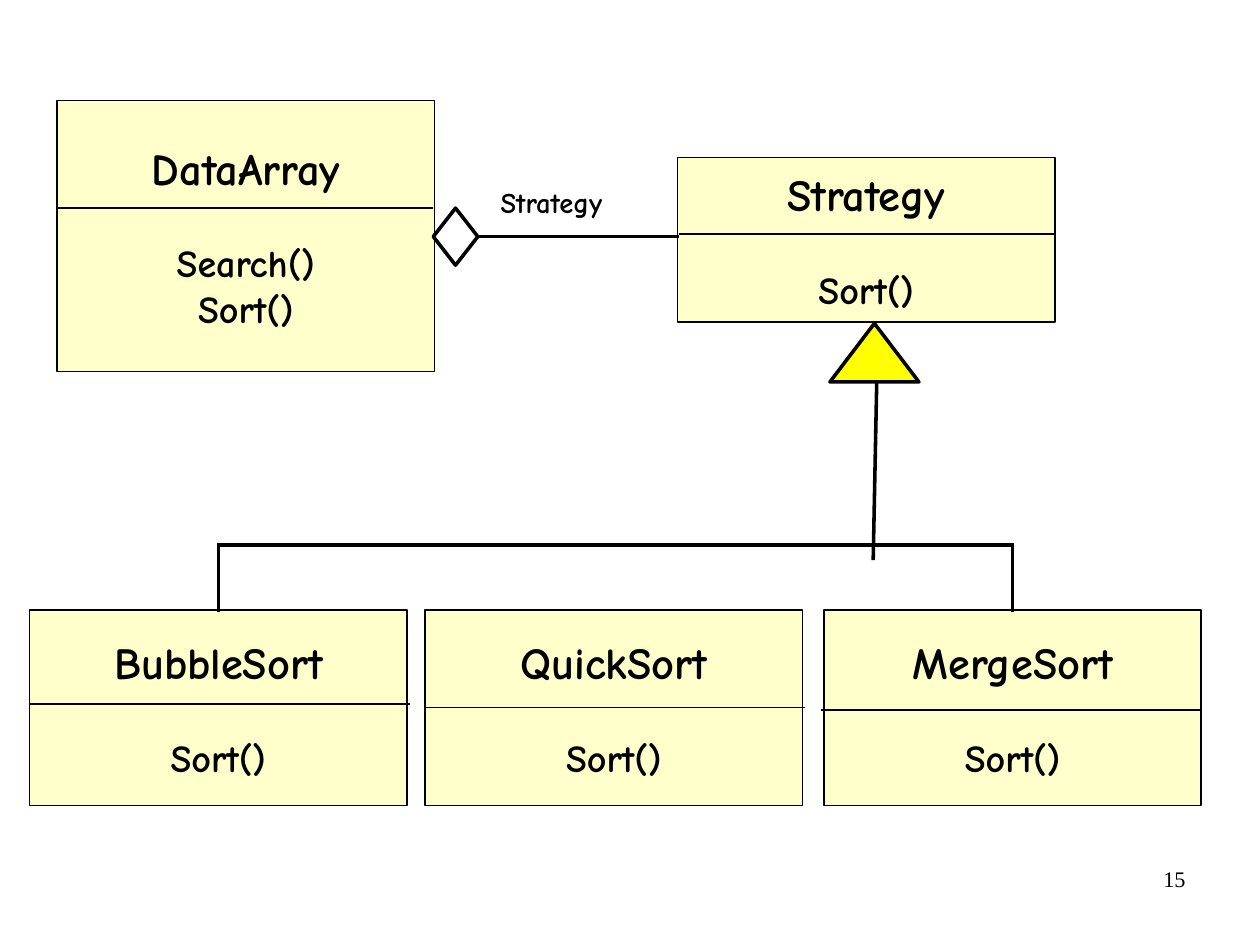
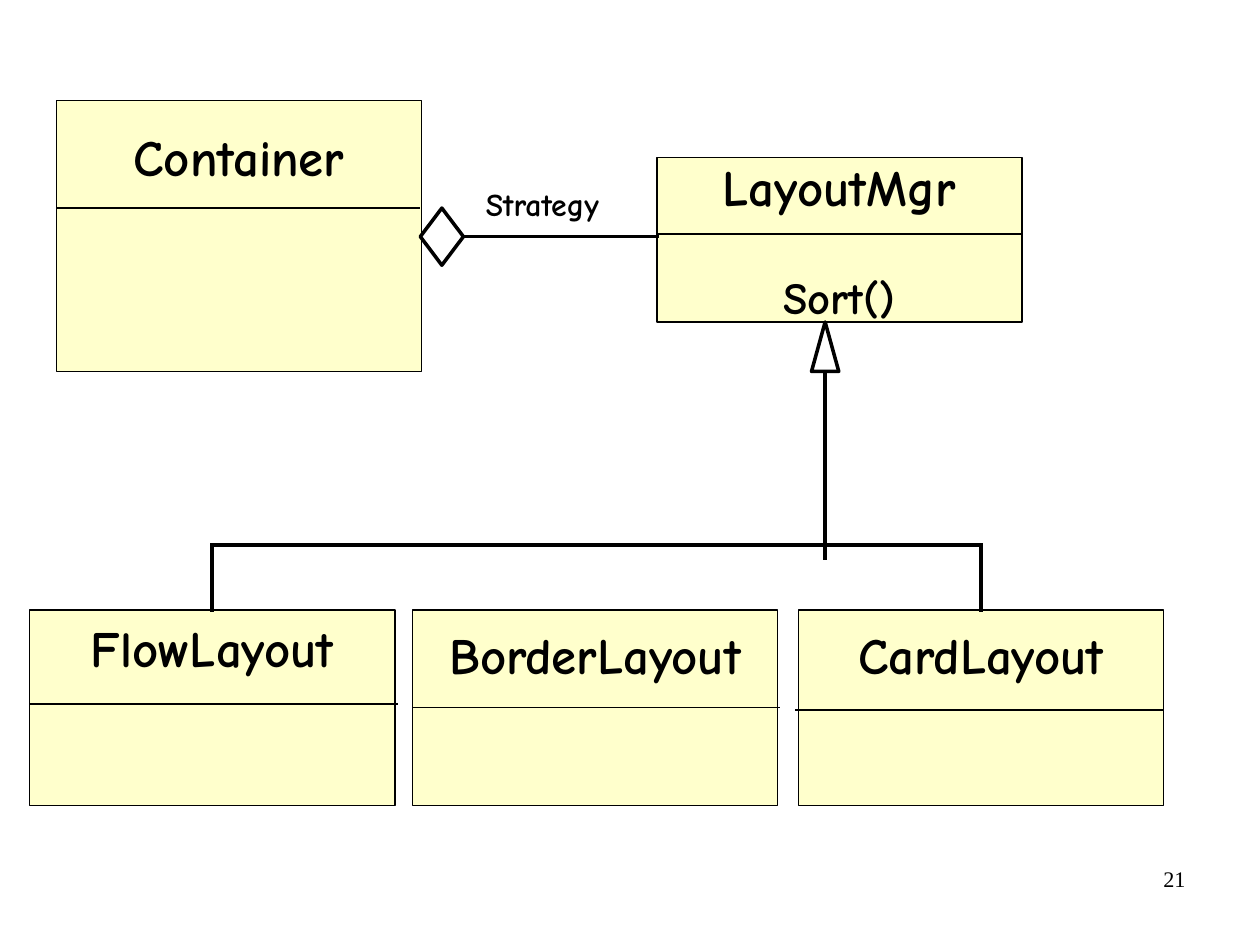
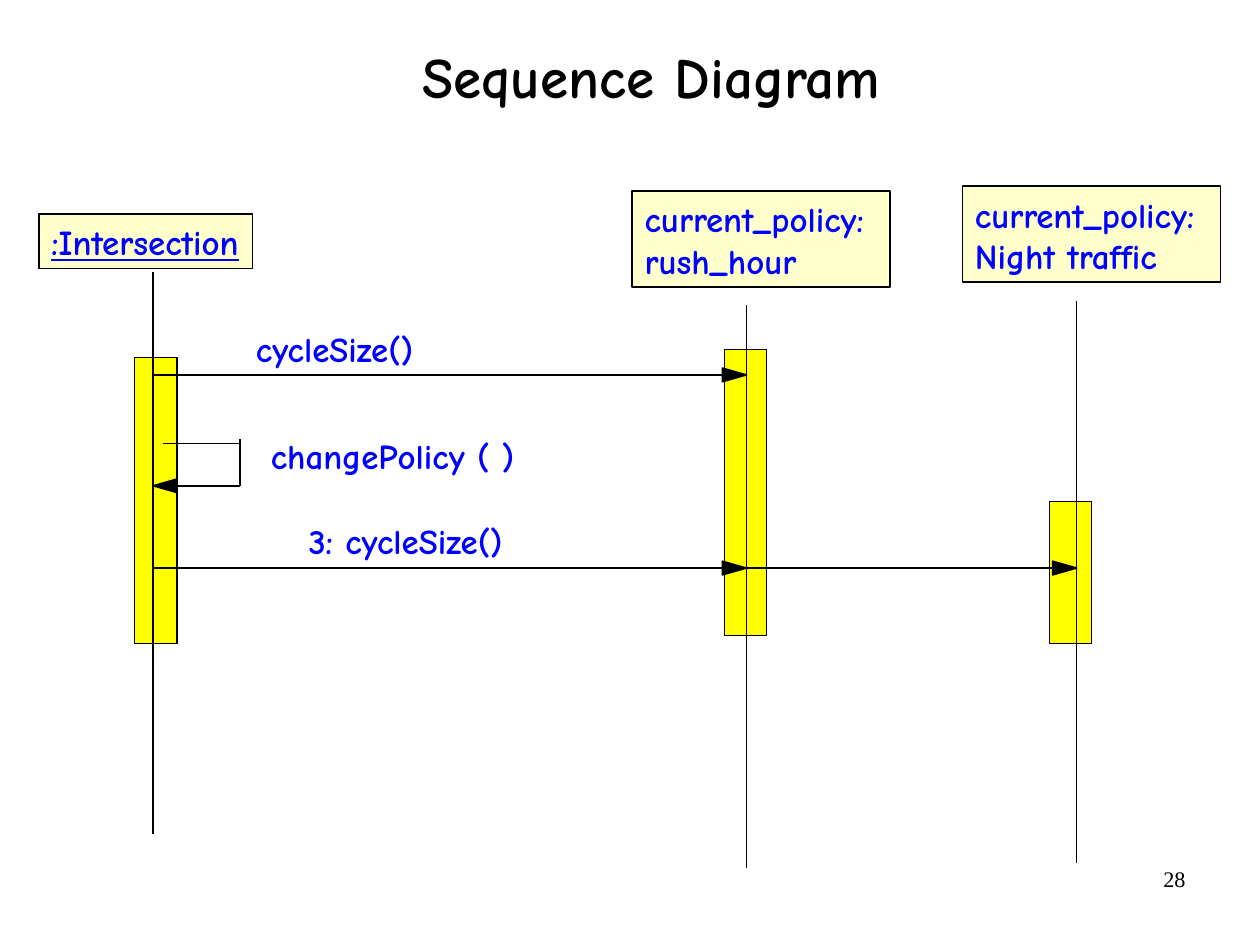
from dataclasses import dataclass

from lxml import etree
from pptx import Presentation, util as u
from pptx.dml.color import RGBColor
from pptx.enum import shapes, text
from pptx.oxml.ns import qn

BLACK = RGBColor(0x00, 0x00, 0x00)
WHITE = RGBColor(0xFF, 0xFF, 0xFF)
CREAM = RGBColor(0xFF, 0xFF, 0xCC)
YELLOW = RGBColor(0xFF, 0xFF, 0x00)
BLUE = RGBColor(0x00, 0x00, 0xFF)

SLIDE_WIDTH, SLIDE_HEIGHT = u.Cm(28), u.Cm(21)
COMIC, SERIF = "Comic Neue", "Times New Roman"
LINE_HEIGHT = 1.2
THIN, RULE, HEAVY = 0.75, 1, 2.25
TITLE_ONLY, BLANK = 5, 6
RECTANGLE = shapes.MSO_SHAPE.RECTANGLE
LEFT, CENTER, RIGHT = text.PP_ALIGN.LEFT, text.PP_ALIGN.CENTER, text.PP_ALIGN.RIGHT
TOP, MIDDLE = text.MSO_ANCHOR.TOP, text.MSO_ANCHOR.MIDDLE


@dataclass
class Grid:
    left: float
    top: float
    width: float
    height: float
    columns: int
    rows: int

    def point(self, column, row):
        return (u.Inches(self.left + column * self.width / self.columns),
                u.Inches(self.top + row * self.height / self.rows))

    def box(self, column, row, columns, rows):
        left, top = self.point(column, row)
        right, bottom = self.point(column + columns, row + rows)
        return left, top, right - left, bottom - top


PAGE = Grid(0, 0, SLIDE_WIDTH.inches, SLIDE_HEIGHT.inches, 100, 100)


def set_all(target, values):
    for name, value in values.items():
        setattr(target, name, value)


def style_font(font, size, color=BLACK, name=COMIC, bold=True, underline=None):
    set_all(font, dict(size=u.Pt(size), name=name, bold=bold, underline=underline))
    font.color.rgb = color


def style_frame(frame, anchor=TOP, wrap=True, side=0.11, edge=0.05):
    set_all(frame, dict(word_wrap=wrap, vertical_anchor=anchor,
                        margin_left=u.Inches(side), margin_right=u.Inches(side),
                        margin_top=u.Inches(edge), margin_bottom=u.Inches(edge)))


def write_lines(frame, lines, align=LEFT, **font):
    frame.text = "\n".join(lines)
    for paragraph in frame.paragraphs:
        paragraph.alignment = align
        style_font(paragraph.font, **font)


def add_label(slide, box, words, align=LEFT, **font):
    frame = slide.shapes.add_textbox(*box).text_frame
    style_frame(frame)
    write_lines(frame, [words], align, **font)


def paint(shape, fill, weight):
    shape.shadow.inherit = False
    if fill is None:
        shape.fill.background()
    else:
        shape.fill.solid()
        shape.fill.fore_color.rgb = fill
    shape.line.color.rgb = BLACK
    shape.line.width = u.Pt(weight)


def add_block(slide, kind, box, fill, weight=RULE):
    block = slide.shapes.add_shape(kind, *box)
    paint(block, fill, weight)
    return block


def add_rule(slide, start, end, weight=RULE):
    rule = slide.shapes.add_connector(shapes.MSO_CONNECTOR.STRAIGHT, *start, *end)
    rule.line.color.rgb = BLACK
    rule.line.width = u.Pt(weight)
    properties = rule._element.spPr
    properties.find(qn("a:ln")).set("cap", "sq" if weight == HEAVY else "flat")
    etree.SubElement(properties, qn("a:effectLst"))
    return rule


def add_page_number(slide, number):
    add_label(slide, PAGE.box(71.77, 90.98, 23.32, 6.89), str(number), RIGHT,
              size=14, name=SERIF, bold=False)


def add_class(slide, grid, box, divider, name, methods, name_size, gap_size,
              spare_rows=0):
    block = add_block(slide, RECTANGLE, grid.box(*box), CREAM)
    frame = block.text_frame
    style_frame(frame, MIDDLE)
    write_lines(frame, [name] + methods, CENTER, size=gap_size)
    frame.paragraphs[0].font.size = u.Pt(name_size)
    line_gap = u.Pt(gap_size * LINE_HEIGHT)
    if methods:
        frame.paragraphs[1].space_before = line_gap
    frame.margin_bottom += spare_rows * line_gap
    start, end, row = divider
    add_rule(slide, grid.point(start, row), grid.point(end, row))
    return block


def add_inheritance(slide, grid, arrow, stem, fill, subclasses):
    add_block(slide, shapes.MSO_SHAPE.ISOSCELES_TRIANGLE, grid.box(*arrow), fill, HEAVY)
    stem_top, stem_bottom = stem
    add_rule(slide, grid.point(stem_top, arrow[1] + arrow[3]),
             grid.point(stem_bottom, 64.9), HEAVY)
    fork_row = 63
    first, last = (16.1, fork_row), (83.9, fork_row)
    add_rule(slide, grid.point(*first), grid.point(*last), HEAVY)
    for corner, subclass in ((first, subclasses[0]), (last, subclasses[-1])):
        corner_point = grid.point(*corner)
        drop = add_rule(slide, corner_point, corner_point, HEAVY)
        drop.end_connect(subclass, 0)


def strategy_diagram(slide, grid, name_size, gap_size, label_size, context, strategy,
                     policies, arrow, stem, arrow_fill):
    class_width = 32.2
    sizes = dict(name_size=name_size, gap_size=gap_size)
    parent = add_class(slide, grid, (55.3, 8.1, class_width, 23.3), (55.4, 87.4, 18.95),
                       **strategy, **sizes)
    add_class(slide, grid, (2.35, 0, class_width, 38.4), (2.4, 34.4, 15.24),
              **context, **sizes)
    diamond = add_block(slide, shapes.MSO_SHAPE.DIAMOND,
                        grid.box(34.45, 15.24, 3.8, 8.1), WHITE, HEAVY)
    association_end = (parent.left, diamond.top + diamond.height // 2)
    association = add_rule(slide, association_end, association_end, HEAVY)
    association.begin_connect(diamond, 3)
    add_label(slide, grid.box(39.12, 11.2, 14, 7), "Strategy", size=label_size)

    places = ((0, (0, 32.5, 85.58)), (33.76, (33.76, 66.2, 86.06)),
              (67.8, (67.5, 100, 86.39)))
    subclasses = [
        add_class(slide, grid, (column, 72.25, class_width, 27.7), divider,
                  **{**sizes, **policy})
        for (column, divider), policy in zip(places, policies)]
    add_inheritance(slide, grid, arrow, stem, arrow_fill, subclasses)


def add_title(slide, words):
    title = slide.shapes.title
    left, top, width, height = PAGE.box(9.17, 0, 85.03, 16.93)
    set_all(title, dict(left=left, top=top, width=width, height=height))
    style_frame(title.text_frame, MIDDLE, edge=0.06)
    write_lines(title.text_frame, [words], CENTER, size=36)
    title.text_frame.paragraphs[0].line_spacing = 0.88


def add_participant(slide, grid, lines, head, lifeline, underline=None):
    block = add_block(slide, RECTANGLE, grid.box(*head), CREAM)
    style_frame(block.text_frame, wrap=False, edge=0.06)
    write_lines(block.text_frame, lines, size=22, color=BLUE, underline=underline)
    column, row = lifeline
    add_rule(slide, grid.point(column, row), grid.point(column, row + 49.2))


def add_arrowhead(slide, grid, column, row, direction):
    back = column - 2.1 * direction
    outline = slide.shapes.build_freeform(*grid.point(column, row))
    outline.add_line_segments([grid.point(back, row + 0.6), grid.point(back, row - 0.6)])
    paint(outline.convert_to_shape(), BLACK, RULE)


def sequence_diagram(slide, grid):
    caller, rush_hour, night = 10, 61.9, 90.8
    for column, row, rows in ((88.4, 27.6, 12.4), (60, 14.3, 25), (8.4, 15, 25)):
        add_block(slide, RECTANGLE, grid.box(column, row, 3.7, rows), YELLOW, THIN)

    add_participant(slide, grid, [":Intersection"], (0, 2.4, 18.7, 4.8),
                    (caller, 7.5), True)
    for policy, column, row in (("rush_hour", rush_hour, 0.4),
                                ("Night traffic", night, 0)):
        add_participant(slide, grid, ["current_policy:", policy],
                        (column - 10, row, 22.6, 8.4), (column, row + 10))

    for row, targets in ((16.5, [rush_hour]), (33.4, [rush_hour, night])):
        add_rule(slide, grid.point(caller, row), grid.point(targets[-1], row))
        for target in targets:
            add_arrowhead(slide, grid, target, row, 1)

    loop_right, loop_top, loop_bottom = 17.6, 22.5, 26.2
    for start, end, weight in (
            ((loop_right, loop_top), (10.9, loop_top), THIN),
            ((loop_right, 22.1), (loop_right, loop_bottom), THIN),
            ((loop_right, loop_bottom), (11.7, loop_bottom), RULE)):
        add_rule(slide, grid.point(*start), grid.point(*end), weight)
    add_arrowhead(slide, grid, caller, loop_bottom, -1)

    for words, column, row in (("cycleSize()", 17.9, 11.9),
                               ("changePolicy ( )", 19.2, 21.2),
                               ("3: cycleSize()", 22.5, 28.7)):
        add_label(slide, grid.box(column, row, 26, 4.8), words, size=22, color=BLUE)


def main():
    deck = Presentation()
    deck.slide_width, deck.slide_height = SLIDE_WIDTH, SLIDE_HEIGHT

    def new_slide(layout, number):
        slide = deck.slides.add_slide(deck.slide_layouts[layout])
        add_page_number(slide, number)
        return slide

    strategy_diagram(
        new_slide(BLANK, 15), Grid(0.26, 0.88, 10.25, 6.17, 100, 100), 28, 24, 18,
        context=dict(name="DataArray", methods=["Search()", "Sort()"]),
        strategy=dict(name="Strategy", methods=["Sort()"]),
        policies=[dict(name=name, methods=["Sort()"])
                  for name in ("BubbleSort", "QuickSort", "MergeSort")],
        arrow=(68.3, 31.6, 7.6, 8.3), stem=(72.3, 72), arrow_fill=YELLOW)

    strategy_diagram(
        new_slide(BLANK, 21), Grid(0.26, 0.88, 9.92, 6.17, 100, 100), 32, 28, 20,
        context=dict(name="Container", methods=[], spare_rows=3),
        strategy=dict(name="LayoutMgr", methods=["Sort()"]),
        policies=[dict(name=name, methods=[], spare_rows=2, gap_size=gap)
                  for name, gap in (("FlowLayout", 32), ("BorderLayout", 28),
                                    ("CardLayout", 28))],
        arrow=(68.95, 31.4, 2.4, 7), stem=(70.15, 70.15), arrow_fill=None)

    sequence = new_slide(TITLE_ONLY, 28)
    add_title(sequence, "Sequence Diagram")
    sequence_diagram(sequence, Grid(0.34, 1.63, 10.4, 6, 104, 60))

    deck.save("out.pptx")


if __name__ == "__main__":
    main()
